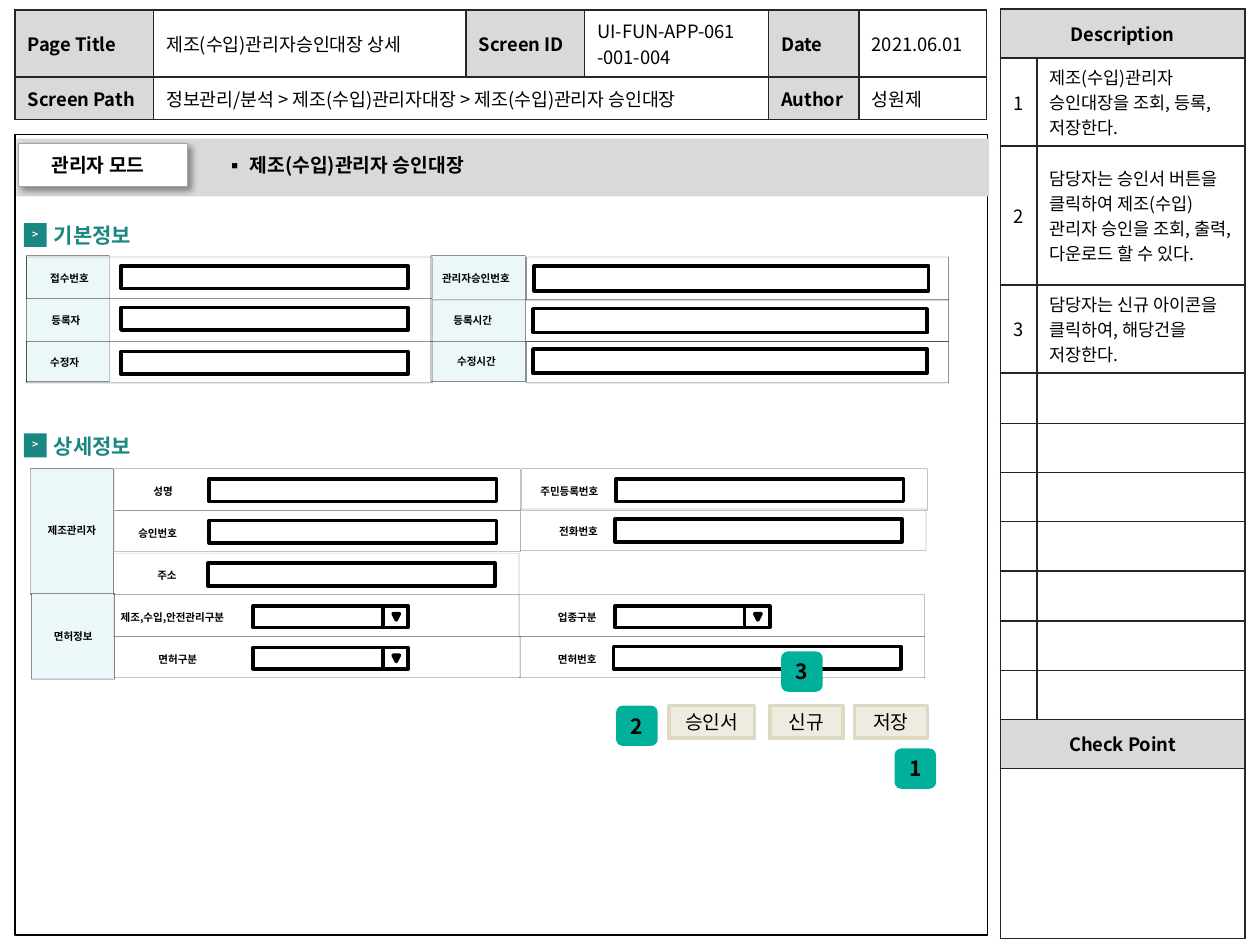
from lxml.etree import SubElement
from pptx import Presentation
from pptx.dml.color import RGBColor
from pptx.enum.shapes import MSO_SHAPE
from pptx.enum.text import MSO_ANCHOR, MSO_AUTO_SIZE, PP_ALIGN
from pptx.oxml import parse_xml
from pptx.oxml.ns import nsdecls, qn
from pptx.util import Pt

PX = 9144  # EMU: 100 px to the inch
FONT = "Noto Sans CJK KR"
BLACK = RGBColor(0x00, 0x00, 0x00)
WHITE = RGBColor(0xFF, 0xFF, 0xFF)
GRID = RGBColor(0x26, 0x26, 0x26)
GREY = RGBColor(0xD9, 0xD9, 0xD9)
MID_GREY = RGBColor(0xA6, 0xA6, 0xA6)
PALE_BLUE = RGBColor(0xEC, 0xF7, 0xF9)
TEAL = RGBColor(0x1B, 0x87, 0x82)
BADGE_GREEN = RGBColor(0x00, 0xB0, 0x9B)
BUTTON_FILL = RGBColor(0xEE, 0xEC, 0xE1)
BUTTON_LINE = RGBColor(0xDD, 0xD9, 0xC3)


def px(*lengths):
    return [length * PX for length in lengths]


def write(text_frame, text, size, bold=True, color=BLACK, align=PP_ALIGN.LEFT):
    text_frame.text = text
    for paragraph in text_frame.paragraphs:
        paragraph.alignment = align
        for run in paragraph.runs:
            run.font.size = Pt(size)
            run.font.bold = bold
            run.font.name = FONT
            run.font.color.rgb = color
            SubElement(run.font._element, qn("a:ea"), typeface=FONT)


def add_box(slide, box, fill=None, line=None, width=0.75, alpha=None, kind=MSO_SHAPE.RECTANGLE):
    shape = slide.shapes.add_shape(kind, *px(*box))
    shape.shadow.inherit = False
    if fill is None:
        shape.fill.background()
    else:
        shape.fill.solid()
        shape.fill.fore_color.rgb = fill
    if line is None:
        shape.line.fill.background()
        return shape
    shape.line.color.rgb = line
    shape.line.width = Pt(width)
    if alpha:
        color = shape.element.find(".//" + qn("a:ln")).find(".//" + qn("a:srgbClr"))
        SubElement(color, qn("a:alpha"), val=str(alpha * 1000))
    return shape


def add_centred_box(slide, box, text, size, bold=True, color=BLACK, **style):
    shape = add_box(slide, box, **style)
    write(shape.text_frame, text, size, bold, color, PP_ALIGN.CENTER)
    shape.text_frame.vertical_anchor = MSO_ANCHOR.MIDDLE
    return shape


def add_label(slide, box, text, size=6, color=BLACK):
    frame = slide.shapes.add_textbox(*px(*box)).text_frame
    frame.word_wrap = True
    frame.auto_size = MSO_AUTO_SIZE.SHAPE_TO_FIT_TEXT
    write(frame, text, size, color=color)


def add_grid(slide, box, columns, rows):
    table = slide.shapes.add_table(len(rows), len(columns), *px(*box)).table
    table.first_row = table.horz_banding = False
    for column, width in zip(table.columns, columns):
        column.width = width * PX
    for row, height in zip(table.rows, rows):
        row.height = height * PX
    for cell in table.iter_cells():
        cell.vertical_anchor = MSO_ANCHOR.MIDDLE
        cell.fill.background()
        properties = cell._tc.get_or_add_tcPr()
        for index, side in enumerate("LRTB"):
            properties.insert(index, parse_xml(
                f'<a:ln{side} {nsdecls("a")} w="12700"><a:solidFill>'
                f'<a:srgbClr val="{GRID}"/></a:solidFill></a:ln{side}>'))
        SubElement(cell.text_frame.paragraphs[0]._p, qn("a:endParaRPr"), sz="1050")
    return table


def fill_cell(cell, text, size=10.5, heading=False, align=PP_ALIGN.LEFT):
    write(cell.text_frame, text, size, heading, align=align)
    if heading:
        cell.fill.solid()
        cell.fill.fore_color.rgb = GREY


def add_page_header(slide, box):
    table = add_grid(slide, box, [110, 248, 94, 146, 72, 101], [53, 34])
    table.cell(1, 1).merge(table.cell(1, 3))
    rows = [
        ["Page Title", "제조(수입)관리자승인대장 상세", "Screen ID",
         "UI-FUN-APP-061\n-001-004", "Date", "2021.06.01"],
        ["Screen Path", "정보관리/분석 > 제조(수입)관리자대장 > 제조(수입)관리자 승인대장",
         None, None, "Author", "성원제"],
    ]
    for row, texts in enumerate(rows):
        for column, text in enumerate(texts):
            if text:
                fill_cell(table.cell(row, column), text, heading=column % 2 == 0)


def add_description(slide, box):
    notes = ["제조(수입)관리자 승인대장을 조회, 등록, 저장한다.",
             "담당자는 승인서 버튼을 클릭하여 제조(수입)관리자 승인을 조회, 출력, 다운로드 할 수 있다.",
             "담당자는 신규 아이콘을 클릭하여, 해당건을 저장한다."]
    rows = [39, 69, 110, 70, 40, 39, 39, 39, 40, 39, 39, 39, 135]
    table = add_grid(slide, box, [29, 165], rows)
    for row, heading in [(0, "Description"), (11, "Check Point"), (12, None)]:
        table.cell(row, 0).merge(table.cell(row, 1))
        if heading:
            fill_cell(table.cell(row, 0), heading, heading=True, align=PP_ALIGN.CENTER)
    for number, note in enumerate(notes, 1):
        fill_cell(table.cell(number, 0), str(number))
        fill_cell(table.cell(number, 1), note, 10)


def add_screen_frame(slide, box):
    left, top, width, height = box
    add_box(slide, box, line=BLACK)
    add_box(slide, (left + 1, top + 3, width, 46), GREY)
    mode = add_box(slide, (left + 3, top + 7, 134, 34), WHITE, MID_GREY)
    mode.element.spPr.find(qn("a:effectLst")).append(parse_xml(
        f'<a:outerShdw {nsdecls("a")} blurRad="50800" dist="38100" dir="2700000" algn="tl">'
        '<a:srgbClr val="000000"><a:alpha val="40000"/></a:srgbClr></a:outerShdw>'))
    add_label(slide, (left + 19, top + 10, 102, 29), "관리자 모드", 11)

    title = slide.shapes.title
    title.element.getparent().append(title.element)  # in front of the grey bar
    title.left, title.top, title.width, title.height = px(left + 157, top + 10, 283, 29)
    frame = title.text_frame
    frame.word_wrap = True
    frame.auto_size = MSO_AUTO_SIZE.SHAPE_TO_FIT_TEXT
    frame.vertical_anchor = MSO_ANCHOR.TOP
    write(frame, "제조(수입)관리자 승인대장", 11)
    properties = frame.paragraphs[0]._p.get_or_add_pPr()
    properties.set("marL", str(19 * PX))
    properties.set("indent", str(-19 * PX))
    SubElement(properties, qn("a:buFont"), typeface=FONT)
    SubElement(properties, qn("a:buChar"), char="▪")


def add_section_heading(slide, left, top, text):
    marker = add_centred_box(slide, (left, top + 5, 18, 19), ">", 6, color=WHITE, fill=TEAL)
    frame = marker.text_frame
    frame.margin_left = frame.margin_right = 0
    frame.margin_top, frame.margin_bottom = px(3, 5)
    add_label(slide, (left + 14, top, 326, 30), text, 12, TEAL)


def add_side_panel(slide, box):
    add_box(slide, box, PALE_BLUE, BLACK, 0.25, 65)


def add_input(slide, box):
    add_box(slide, box, line=BLACK, width=2)


def add_select(slide, left, top):
    add_input(slide, (left, top, 103, 17))
    add_box(slide, (left + 111, top + 6, 5, 5), BLACK, BLACK, 2, kind=MSO_SHAPE.FLOWCHART_MERGE)
    add_input(slide, (left + 103, top, 20, 17))


def add_basic_fields(slide, left, top):
    add_side_panel(slide, (left, top - 1, 66, 100))
    add_side_panel(slide, (left + 321, top - 1, 75, 100))
    for box in [(0, 0, 322, 33), (0, 67, 322, 33), (397, 0, 335, 34),
                (322, 34, 410, 33), (397, 67, 335, 33)]:
        add_box(slide, (left + box[0], top + box[1], *box[2:]), line=BLACK, width=0.25, alpha=65)
    fields = [  # text, label x, y and width, input x, y, width and height
        ("접수번호", 9, 7, 54, 75, 7, 228, 18), ("등록자", 10, 40, 70, 75, 40, 228, 18),
        ("수정자", 9, 74, 54, 75, 75, 228, 18), ("관리자승인번호", 320, 7, 91, 403, 7, 313, 20),
        ("등록시간", 329, 40, 62, 402, 41, 313, 19), ("수정시간", 332, 73, 54, 402, 73, 313, 19)]
    for text, label_x, label_y, label_width, x, y, width, height in fields:
        add_label(slide, (left + label_x, top + label_y, label_width, 20), text)
        add_input(slide, (left + x, top + y, width, height))


def add_detail_fields(slide, left, top):
    for y, height, text_x, text_y, text in [(0, 100, 4, 39, "제조관리자"), (99, 68, 9, 123, "면허정보")]:
        add_side_panel(slide, (left + y // 99, top + y, 66, height))
        add_label(slide, (left + text_x, top + text_y, 66, 20), text)
    fields = [  # text, cell x and y, label inset and width, select inset or None
        ("성명", 67, 0, 21, 54, None), ("승인번호", 67, 33, 9, 54, None),
        ("주소", 66, 67, 25, 54, None), ("제조,수입,안전관리구분", 66, 100, -4, 109, 111),
        ("면허구분", 67, 133, 25, 54, 110), ("주민등록번호", 390, 0, 5, 81, None),
        ("전화번호", 389, 32, 21, 54, None), ("업종구분", 388, 100, 21, 54, 76),
        ("면허번호", 388, 133, 21, 54, None)]
    for text, x, y, label_inset, label_width, select_inset in fields:
        x, y = left + x, top + y
        add_box(slide, (x, y, 322, 33), line=BLACK, width=0.1, alpha=65)
        add_label(slide, (x + label_inset, y + 8, label_width, 20), text)
        if select_inset is None:
            add_input(slide, (x + 75, y + 8, 228, 18))
        else:
            add_select(slide, x + select_inset, y + 9)


def add_actions(slide, left, top):
    for x, width, text in [(42, 68, "승인서"), (122, 58, "신규"), (189, 58, "저장")]:
        add_centred_box(slide, (left + x, top, width, 26), text, 11, False,
                        fill=BUTTON_FILL, line=BUTTON_LINE, width=2)
    for number, x, y in [(1, 221, 34), (2, 0, 0), (3, 131, -43)]:
        add_centred_box(slide, (left + x, top + y, 33, 32), str(number), 12,
                        fill=BADGE_GREEN, kind=MSO_SHAPE.ROUNDED_RECTANGLE)


def main():
    presentation = Presentation()
    presentation.slide_width, presentation.slide_height = px(1000, 750)
    slide = presentation.slides.add_slide(presentation.slide_layouts[5])
    add_page_header(slide, (12, 8, 771, 87))
    add_description(slide, (794, 7, 194, 737))
    add_screen_frame(slide, (12, 107, 772, 635))
    add_section_heading(slide, 19, 172, "기본정보")
    add_basic_fields(slide, 21, 204)
    add_section_heading(slide, 19, 339, "상세정보")
    add_detail_fields(slide, 24, 372)
    add_actions(slide, 489, 560)
    presentation.save("out.pptx")


if __name__ == "__main__":
    main()
